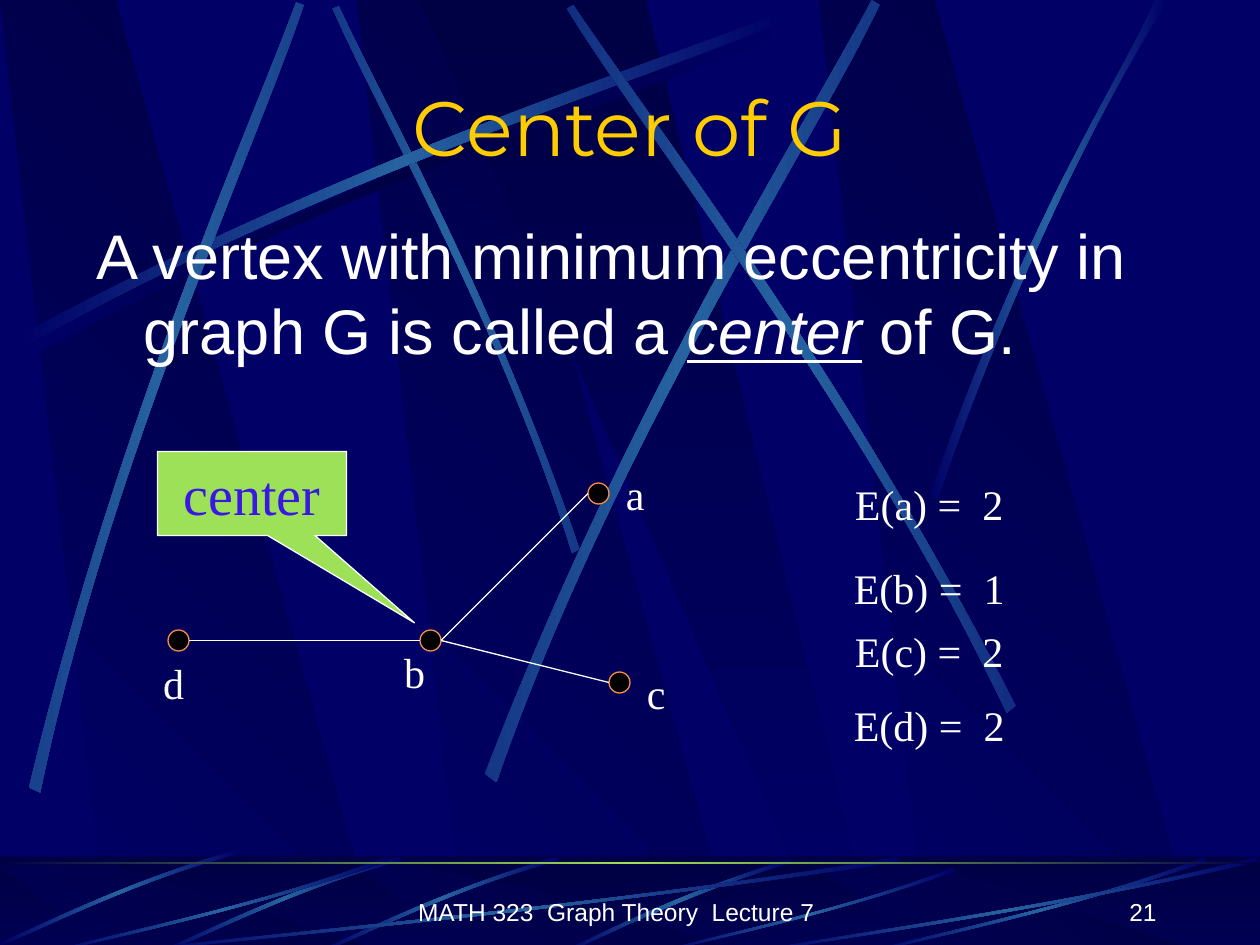
import math
from lxml import etree
from pptx import Presentation
from pptx.dml.color import RGBColor
from pptx.enum import shapes, text
from pptx.oxml.ns import qn
from pptx.util import Pt

HUE = dict(base="000066", dark="000044", beam="2663A0", lime="9CE157",
           white="FFFFFF", gold="FFCC00", black="000000", rim="F98D43", ink="3917E5")
SERIF, SANS = "Times New Roman", "Arial"
GLOW = ("base", "beam", "base")
SHADE = ("base", "dark", "base")
MID = text.PP_ALIGN.CENTER

# Bands: x offset, corners (y as a share of the height), colours, angle
SLANT = [(62, 1), (217, 1), (66, 0), (0, 0)]
FAN = [(240, 0), (474, 1), (500, 1), (369, 0)]
BANDS = [(x, SLANT, ("base", "dark"), 315) for x in (204, 0, 468)]
BANDS.append((0, FAN, ("dark", "base"), 90))

# Beams: two cubic edges of four points each
LOW = [(10.1, 192.2), (200.2, 90), (373, 36.7), (446.4, 7.2),
       (448.6, 11.5), (375.8, 43.9), (178.6, 103), (12.2, 199.4)]
FALL = [(331.2, 313.9), (281.5, 168.5), (217.4, 55.4), (193.7, 3.6),
        (190.1, 5), (212.4, 56.9), (286.6, 185.8), (326.9, 316.1)]
LEFT = [(16.6, 450), (67, 240.5), (141.8, 75.6), (169.2, 1.4),
        (173.5, 2.9), (149, 77.8), (61.9, 265), (23, 452.9)]
RISE = [(277.2, 442.1), (358.6, 230.4), (459.4, 73.4), (498.2, 0),
        (502.6, 2.9), (467.3, 77.8), (349.9, 255.6), (283.7, 447.1)]
DROP = [(580.3, 403.2), (482.4, 211), (371.5, 68.4), (327.6, 2.9),
        (324, 5), (365, 72.7), (493.2, 234), (575.3, 407.5)]
RIGHT = [(531.4, 283), (586.1, 124.6), (639.4, 47.5), (660.2, 0),
         (667.4, 0), (601.9, 104.4), (553.7, 231.8), (535.7, 285.8)]
ARC = [(451.4, 491), (386.6, 510.5), (343.4, 534.2), (322.6, 542.9),
       (326.2, 543.6), (352.8, 530.6), (411.1, 504), (452.2, 493.2)]
TILT = [(318.2, 489.6), (255.6, 507.6), (206.6, 532.8), (184.3, 542.2),
        (185, 543.6), (207.4, 535), (262.8, 506.2), (319.7, 491.8)]
SWEEP = [(1, .04), (.57, .57), (.17, .85), (0.01, 1),
         (0, .99), (.17, .81), (.62, .51), (.99, 0)]

# Beam, turn, shift, colours
TOP = [(LOW, 0, (4.3, 5.8), SHADE), (FALL, 45, (0, 0), GLOW),
       (LOW, 0, (0, 0), GLOW), (LEFT, 311.7, (0, 0), GLOW),
       (RISE, 321.6, (0, 0), GLOW), (DROP, 34.8, (0, 0), GLOW),
       (RIGHT, 0, (0, 0), GLOW)]
FOOT = [(ARC, 0, (0, 0), GLOW)]
FOOT += [(TILT, 314.9, move, GLOW) for move in ((0, 0), (-90, 0), (-184, -3.6))]
SWEEPS = [(72, 490, 444, 54), (30, 490, 192, 54), (379.5, 496, 166.5, 47.5),
          (498, 490, 192, 54), (432, 490, 288, 54)]

# Graph: dot corner, label corner
DOT = 12
NODES = {"c": ((348, 384), (360, 378)), "a": ((336, 276), (348, 264)),
         "d": ((96, 360), (84.2, 372)), "b": ((240, 360), (222, 366))}
EDGES = ["db", "bc", "ba"]
RANKS = [("E(a) =  2", 270), ("E(b) =  1", 318), ("E(c) =  2", 354), ("E(d) =  2", 396)]

deck = Presentation()
deck.slide_width, deck.slide_height = Pt(720), Pt(540)
slide = deck.slides.add_slide(deck.slide_layouts[6])
pen = slide.shapes


def rgb(name):
    return RGBColor.from_string(HUE[name])


def blend(shape, names, angle):
    """Fill a shape with evenly spaced gradient stops and no outline."""
    shape.shadow.inherit = False
    shape.line.fill.background()
    shape.fill.gradient()
    grad = shape._element.spPr.find(qn("a:gradFill"))
    grad.set("rotWithShape", "0")
    stops = grad.find(qn("a:gsLst"))
    for old in list(stops):
        stops.remove(old)
    for i, name in enumerate(names):
        stop = etree.SubElement(stops, qn("a:gs"), pos=str(100000 * i // (len(names) - 1)))
        etree.SubElement(stop, qn("a:srgbClr"), val=HUE[name])
    grad.find(qn("a:lin")).set("ang", str(angle * 60000))


def trace(points):
    spots = [(Pt(x), Pt(y)) for x, y in points]
    form = pen.build_freeform(*spots[0], scale=1.0)
    form.add_line_segments(spots[1:], close=True)
    return form.convert_to_shape()


def spin(x, y, deg):
    a = math.radians(deg)
    return x * math.cos(a) - y * math.sin(a), x * math.sin(a) + y * math.cos(a)


def bend(shape):
    """Turn the first and last three line segments into one cubic curve each."""
    lines = list(shape._element.iter(qn("a:lnTo")))
    for trio in (lines[:3], lines[4:7]):
        cubic = etree.Element(qn("a:cubicBezTo"))
        trio[0].addprevious(cubic)
        for line in trio:
            cubic.append(line[0])
            line.getparent().remove(line)


def beam(points, turn, move, names):
    """Draw a beam in its unturned frame, then turn it into place."""
    shape = trace([spin(x + move[0], y + move[1], -turn) for x, y in points])
    bend(shape)
    mid = spin(shape.left + shape.width / 2, shape.top + shape.height / 2, turn)
    shape.left = round(mid[0] - shape.width / 2)
    shape.top = round(mid[1] - shape.height / 2)
    shape.rotation = turn
    blend(shape, names, 0)


def bands(top, tall):
    for dx, corners, names, angle in BANDS:
        blend(trace([(x + dx, top + y * tall) for x, y in corners]), names, angle)


def block(kind, box, fill=None, line=None):
    shape = pen.add_shape(kind, *map(Pt, box))
    shape.shadow.inherit = False
    if fill:
        shape.fill.solid()
        shape.fill.fore_color.rgb = rgb(fill)
    if line:
        shape.line.color.rgb = rgb(line)
        shape.line.width = Pt(.75)
    else:
        shape.line.fill.background()
    return shape


def write(shape, runs, size, face=SERIF, hue="white", align=MID, anchor="TOP"):
    frame = shape.text_frame
    frame.word_wrap = True
    frame.vertical_anchor = getattr(text.MSO_ANCHOR, anchor)
    para = frame.paragraphs[0]
    para.alignment = align
    for words in runs:
        para.add_run().text = words
    font = para.font
    font.size, font.name, font.color.rgb = Pt(size), face, rgb(hue)
    return para


def label(box, words, size, **style):
    return write(pen.add_textbox(*map(Pt, box)), words, size, **style)


RECT = shapes.MSO_SHAPE.RECTANGLE
slide.background.fill.solid()
slide.background.fill.fore_color.rgb = rgb("base")
bands(0, 541)
for item in TOP:
    beam(*item)

blend(block(RECT, (0, 490, 720, 54)), ("dark", "base"), 90)
bands(495, 48)
veil = block(RECT, (0, 489, 720, 54), "dark")
tint = veil._element.spPr.find(qn("a:solidFill"))[0]
etree.SubElement(tint, qn("a:alpha"), val="50000")
for item in FOOT:
    beam(*item)
for x, y, w, h in SWEEPS:
    beam([(x + w * px, y + h * py) for px, py in SWEEP], 0, (0, 0), GLOW)
blend(block(RECT, (0, 492.5, 720, 1.5)), ("dark", "lime", "dark"), 0)

label((228, 497, 248.4, 36), ["MATH 323  Graph Theory  Lecture 7"], 14, face=SANS, anchor="BOTTOM")
label((518.4, 497, 149.6, 36), ["21"], 14, face=SANS, align=text.PP_ALIGN.RIGHT, anchor="BOTTOM")
label((54, 42, 612, 60), ["Center of G"], 44, face="Montserrat", hue="gold", anchor="MIDDLE")
body = label((48.2, 120, 612, 186),
             ["A vertex with minimum eccentricity in graph G is called a ", "center", " of G."],
             36, face=SANS, align=text.PP_ALIGN.LEFT)
props = body._p.get_or_add_pPr()
props.set("marL", str(Pt(27)))
props.set("indent", str(Pt(-27)))
body.runs[1].font.italic = body.runs[1].font.underline = True

for (x, y), _ in NODES.values():
    block(shapes.MSO_SHAPE.OVAL, (x, y, DOT, DOT), "black", "rim")
for start, end in EDGES:
    (x1, y1), (x2, y2) = NODES[start][0], NODES[end][0]
    ends = (x1 + DOT, y1 + DOT / 2, x2, y2 + DOT / 2)
    edge = pen.add_connector(shapes.MSO_CONNECTOR.STRAIGHT, *map(Pt, ends))
    edge.line.color.rgb, edge.line.width = rgb("white"), Pt(.75)
    etree.SubElement(edge._element.spPr, qn("a:effectLst"))
for name, (_, spot) in NODES.items():
    label((*spot, 30, 36), [name], 24)
for words, y in RANKS:
    label((462, y, 138, 36), [words], 24)

note = block(shapes.MSO_SHAPE.RECTANGULAR_CALLOUT, (90, 258, 108, 48), "lime", "white")
note.adjustments[0], note.adjustments[1] = .86, 1.54
write(note, ["center"], 32, hue="ink", anchor="MIDDLE")

deck.save("out.pptx")
